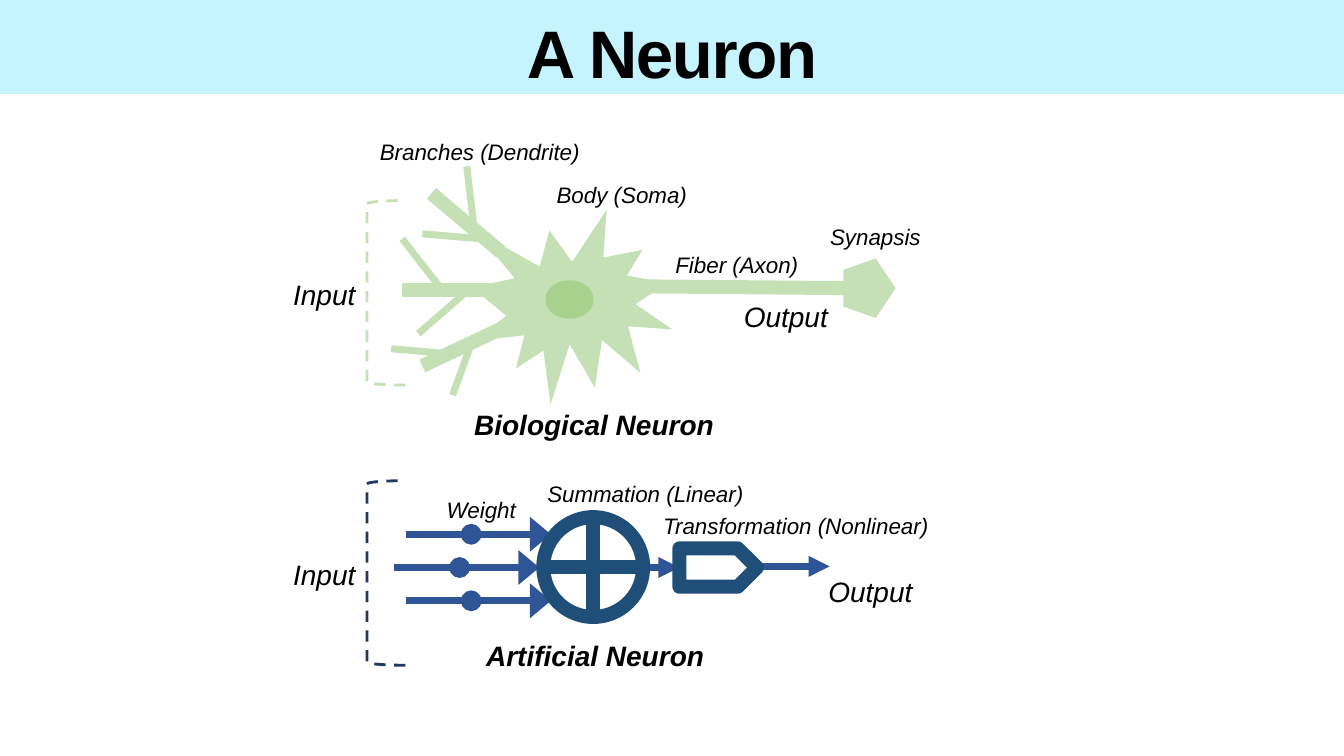
from dataclasses import dataclass

from lxml.etree import SubElement
from pptx import Presentation
from pptx.dml.color import RGBColor
from pptx.enum.dml import MSO_LINE
from pptx.enum.shapes import MSO_CONNECTOR, MSO_SHAPE
from pptx.enum.text import MSO_ANCHOR, MSO_AUTO_SIZE, PP_ALIGN
from pptx.oxml.ns import qn
from pptx.util import Pt

STAR, OVAL = MSO_SHAPE.EXPLOSION1, MSO_SHAPE.OVAL
BRACKET, PLATE = MSO_SHAPE.LEFT_BRACKET, MSO_SHAPE.PENTAGON
CROSS, FIVE = MSO_SHAPE.FLOWCHART_OR, MSO_SHAPE.REGULAR_PENTAGON
STRAIGHT, DASH = MSO_CONNECTOR.STRAIGHT, MSO_LINE.DASH
LEFT, CENTER = PP_ALIGN.LEFT, PP_ALIGN.CENTER
TOP, MIDDLE = MSO_ANCHOR.TOP, MSO_ANCHOR.MIDDLE


@dataclass(frozen=True)
class Theme:
    font: str = "Arial"
    ink: str = "000000"
    band: str = "C5F3FF"
    cell: str = "C5E0B4"
    core: str = "A9D18E"
    wire: str = "2F5597"
    frame: str = "203864"
    unit: str = "1F4E79"
    title: int = 48
    head: int = 20
    label: int = 16
    thick: int = 10
    thin: int = 5
    fine: int = 2


THEME = Theme()
WIDTH, HEIGHT = 960, 540
TITLE = "A Neuron"

LIMBS = [
    (357.8, 180, 308.2, 138.2),
    (358.6, 207.4, 287.3, 207.4),
    (365.8, 231.1, 301.7, 261.4),
    (616.3, 205.9, 452.2, 204.5),
]
TWIGS = [
    (339.1, 167, 333.4, 118.8),
    (343.4, 170.6, 301.7, 167),
    (315.4, 206.6, 287.3, 170.6),
    (337.7, 204.5, 298.8, 238.3),
    (337.7, 242.6, 323.3, 282.2),
    (320.4, 252.7, 279.4, 249.1),
]
LINKS = [(459.4, 405.4, 485.3, 405.4), (542.2, 404.6, 592.6, 404.6)]
SOLIDS = [
    (STAR, (337, 149.8, 143.3, 139), THEME.cell, 0),
    (OVAL, (389.5, 200.2, 34.6, 27.4), THEME.core, 0),
    (FIVE, (599.8, 187.2, 42.5, 37.4), THEME.cell, 90),
]
FRAMES = [
    (BRACKET, (262.1, 143.3, 27.4, 131.8), THEME.cell, THEME.fine, DASH),
    (BRACKET, (262.1, 343.4, 27.4, 131.8), THEME.frame, THEME.fine, DASH),
    (CROSS, (388.1, 369.4, 71.3, 71.3), THEME.unit, THEME.thick, None),
    (PLATE, (485.3, 391.7, 55.4, 27.4), THEME.unit, THEME.thick, None),
]
LABELS = [
    ("Body (Soma)", (386.6, 126.7, 115.2, 24.5), CENTER),
    ("Fiber (Axon)", (468, 179.3, 116.6, 19.4), CENTER),
    ("Branches (Dendrite)", (262.1, 95, 161.3, 25.9), CENTER),
    ("Weight", (295.9, 352.8, 95.8, 23), CENTER),
    ("Transformation (Nonlinear)", (466.6, 363.6, 206.6, 23), LEFT),
    ("Summation (Linear)", (383.8, 341.3, 226.8, 23), LEFT),
    ("Synapsis", (570.2, 160.6, 110.2, 16.6), CENTER),
]
PORTS = [
    ("Input", (202.3, 194.4, 66, 24.5)),
    ("Input", (202.3, 394.6, 66, 24.5)),
    ("Output", (524.2, 210.2, 100, 32)),
    ("Output", (584.6, 406.8, 100, 32)),
]
NAMES = [
    ("Biological Neuron", (288.7, 287.3, 271.4, 25.5)),
    ("Artificial Neuron", (252, 452.2, 346.3, 26.6)),
]
ROW, STEP, SHIFT = 405.4, 23.75, 8.3
STUB, SIGNAL = (281.5, 325.4), (328.3, 385.2)

deck = Presentation()
deck.slide_width, deck.slide_height = Pt(WIDTH), Pt(HEIGHT)
slide = deck.slides.add_slide(deck.slide_layouts[5])


def points(box):
    return [Pt(value) for value in box]


def color(code):
    return RGBColor.from_string(code)


def write(frame, text, size, align, anchor, bold=False, slant=True):
    frame.word_wrap = True
    frame.auto_size = MSO_AUTO_SIZE.NONE
    frame.vertical_anchor = anchor
    frame.text = text
    para = frame.paragraphs[0]
    para.alignment = align
    font = para.font
    font.name, font.size = THEME.font, Pt(size)
    font.bold, font.italic = bold, slant
    font.color.rgb = color(THEME.ink)


def label(text, box, size, align, anchor, bold=False):
    frame = slide.shapes.add_textbox(*points(box)).text_frame
    write(frame, text, size, align, anchor, bold)


def line(ends, tint, width, head=None, tail=None, broad="med"):
    link = slide.shapes.add_connector(STRAIGHT, *points(ends))
    link.line.color.rgb = color(tint)
    link.line.width = Pt(width)
    props = link.line._get_or_add_ln()
    for tag, kind in (("a:headEnd", head), ("a:tailEnd", tail)):
        if kind:
            size = broad if kind == "triangle" else "med"
            SubElement(props, qn(tag), type=kind, w=size, len="med")
    SubElement(link._element.spPr, qn("a:effectLst"))


def shape(kind, box):
    item = slide.shapes.add_shape(kind, *points(box))
    item.shadow.inherit = False
    return item


def solid(kind, box, tint, turn):
    item = shape(kind, box)
    item.fill.solid()
    item.fill.fore_color.rgb = color(tint)
    item.line.fill.background()
    item.rotation = turn


def outline(kind, box, tint, width, dash):
    item = shape(kind, box)
    item.fill.background()
    item.line.color.rgb = color(tint)
    item.line.width = Pt(width)
    if dash:
        item.line.dash_style = dash


def main():
    title = slide.shapes.title
    title.left, title.top, title.width, title.height = points((0, 0, WIDTH, 67))
    title.fill.solid()
    title.fill.fore_color.rgb = color(THEME.band)
    frame = title.text_frame
    write(frame, TITLE, THEME.title, CENTER, MIDDLE, True, False)
    frame.margin_top = Pt(10)
    frame.paragraphs[0].runs[0].font._element.set("spc", "-100")

    for item in SOLIDS:
        solid(*item)
    for ends in LIMBS:
        line(ends, THEME.cell, THEME.thick)
    for ends in TWIGS:
        line(ends, THEME.cell, THEME.thin)
    for ends in LINKS:
        line(ends, THEME.wire, THEME.thin, tail="triangle")
    for row in (0, -1, 1):
        y, move = ROW + row * STEP, SHIFT * abs(row)
        start, stop = SIGNAL
        line((start + move, y, stop + move, y), THEME.wire, THEME.thin,
             "oval", "triangle", "lg")
        start, stop = STUB
        line((start + move, y, stop + move, y), THEME.wire, THEME.thin)
    for item in FRAMES:
        outline(*item)
    for text, box, align in LABELS:
        label(text, box, THEME.label, align, MIDDLE)
    for text, box in PORTS:
        label(text, box, THEME.head, LEFT, TOP)
    for text, box in NAMES:
        label(text, box, THEME.head, CENTER, TOP, True)
    deck.save("out.pptx")


if __name__ == "__main__":
    main()
